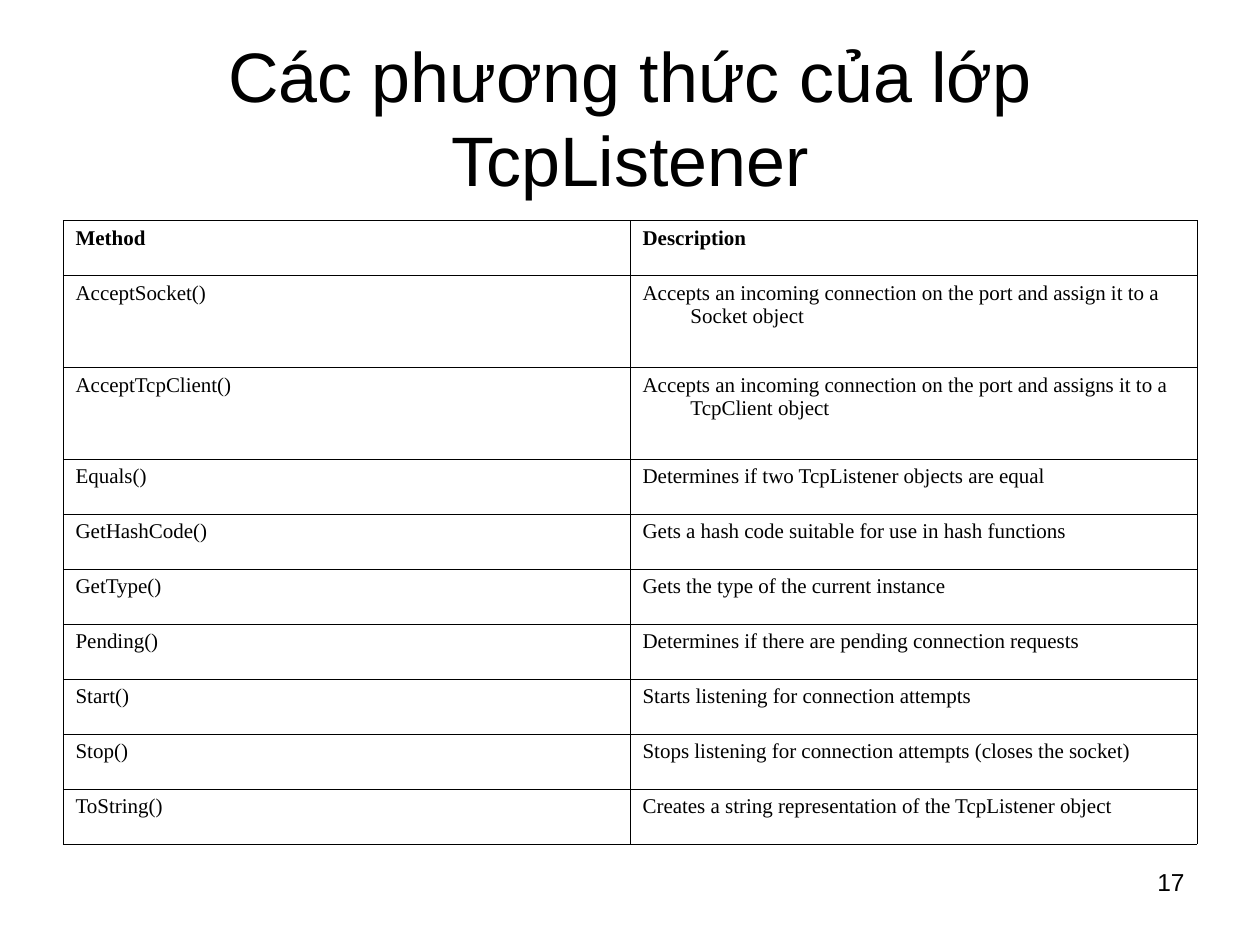
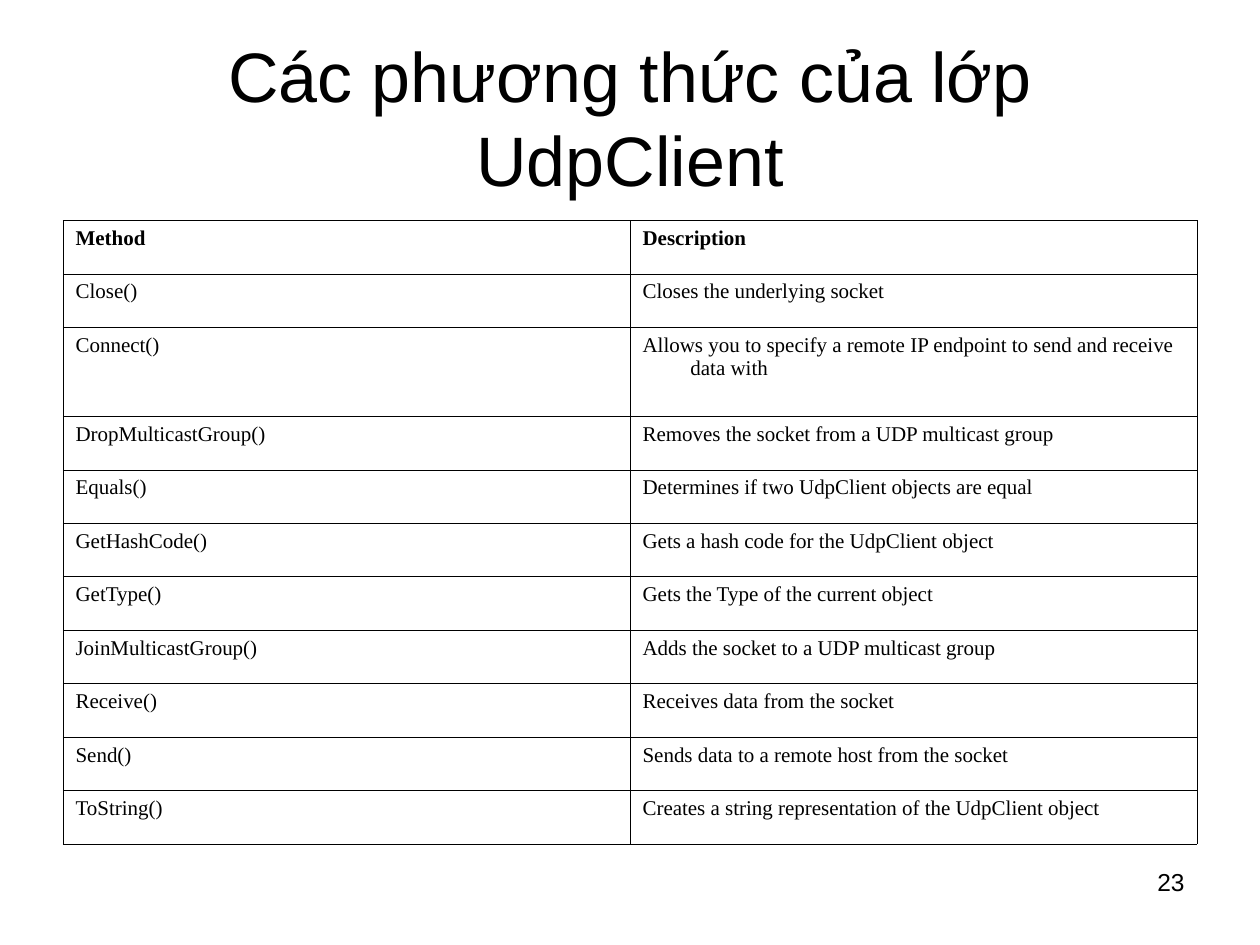
import dataclasses

import lxml.etree
import pptx
import pptx.dml.color
import pptx.enum.text
import pptx.oxml.ns
import pptx.slide
import pptx.table
import pptx.text.text
import pptx.util

# Shared style
COLOURS = {"ink": "000000", "paper": "FFFFFF"}
HEADING_FONT = "Arial"
TABLE_FONT = "Times New Roman"
BORDER_WIDTH = pptx.util.Pt(0.34)
HANGING_INDENT = pptx.util.Inches(0.38)
SLIDE_WIDTH = pptx.util.Inches(10)
SLIDE_HEIGHT = pptx.util.Inches(7.5)

# Row heights are shared out in units: a wrapped description needs more
SINGLE_ROW, WRAPPED_ROW = 3, 5
LONGEST_LINE = 60
TITLE_ONLY = 5


@dataclasses.dataclass(frozen=True)
class Area:
    """A rectangle given in inches on the slide."""
    left: float
    top: float
    width: float
    height: float

    def lengths(self) -> list[int]:
        return [pptx.util.Inches(value) for value in dataclasses.astuple(self)]


@dataclasses.dataclass(frozen=True)
class MethodPage:
    class_name: str
    number: int
    methods: list[tuple[str, str]]


TITLE_AREA = Area(0.5, 0.3, 9, 1.25)
TABLE_AREA = Area(0.5, 1.75, 9, 4.95)
NUMBER_AREA = Area(7.17, 6.83, 2.33, 0.52)
HEADER = ("Method", "Description")

PAGES = [
    MethodPage("TcpListener", 17, [
        ("AcceptSocket()", "Accepts an incoming connection on the port and assign it to a Socket object"),
        ("AcceptTcpClient()", "Accepts an incoming connection on the port and assigns it to a TcpClient object"),
        ("Equals()", "Determines if two TcpListener objects are equal"),
        ("GetHashCode()", "Gets a hash code suitable for use in hash functions"),
        ("GetType()", "Gets the type of the current instance"),
        ("Pending()", "Determines if there are pending connection requests"),
        ("Start()", "Starts listening for connection attempts"),
        ("Stop()", "Stops listening for connection attempts (closes the socket)"),
        ("ToString()", "Creates a string representation of the TcpListener object"),
    ]),
    MethodPage("UdpClient", 23, [
        ("Close()", "Closes the underlying socket"),
        ("Connect()", "Allows you to specify a remote IP endpoint to send and receive data with"),
        ("DropMulticastGroup()", "Removes the socket from a UDP multicast group"),
        ("Equals()", "Determines if two UdpClient objects are equal"),
        ("GetHashCode()", "Gets a hash code for the UdpClient object"),
        ("GetType()", "Gets the Type of the current object"),
        ("JoinMulticastGroup()", "Adds the socket to a UDP multicast group"),
        ("Receive()", "Receives data from the socket"),
        ("Send()", "Sends data to a remote host from the socket"),
        ("ToString()", "Creates a string representation of the UdpClient object"),
    ]),
]


def write_text(frame: pptx.text.text.TextFrame, text: str, font_name: str, size: float,
               align: pptx.enum.text.PP_ALIGN, bold: bool = False) -> None:
    frame.text = text
    frame.word_wrap = True
    para = frame.paragraphs[0]
    para.alignment = align
    font = para.runs[0].font
    font.name = font_name
    font.size = pptx.util.Pt(size)
    font.bold = bold
    font.color.rgb = pptx.dml.color.RGBColor.from_string(COLOURS["ink"])


def add_title(page: pptx.slide.Slide, text: str) -> None:
    title = page.shapes.title
    title.left, title.top, title.width, title.height = TITLE_AREA.lengths()
    write_text(title.text_frame, text, HEADING_FONT, 40, pptx.enum.text.PP_ALIGN.CENTER)
    title.text_frame.auto_size = pptx.enum.text.MSO_AUTO_SIZE.NONE
    title.text_frame.vertical_anchor = pptx.enum.text.MSO_ANCHOR.MIDDLE


def add_page_number(page: pptx.slide.Slide, number: int) -> None:
    box = page.shapes.add_textbox(*NUMBER_AREA.lengths())
    write_text(box.text_frame, str(number), HEADING_FONT, 14, pptx.enum.text.PP_ALIGN.RIGHT)


def draw_borders(cell: pptx.table._Cell) -> None:
    properties = cell._tc.get_or_add_tcPr()
    qualified = pptx.oxml.ns.qn
    for side in ("a:lnL", "a:lnR", "a:lnT", "a:lnB"):
        line = lxml.etree.SubElement(properties, qualified(side), w=str(BORDER_WIDTH))
        fill = lxml.etree.SubElement(line, qualified("a:solidFill"))
        lxml.etree.SubElement(fill, qualified("a:srgbClr"), val=COLOURS["ink"])


def fill_cell(cell: pptx.table._Cell, text: str, bold: bool) -> None:
    write_text(cell.text_frame, text, TABLE_FONT, 12, pptx.enum.text.PP_ALIGN.LEFT, bold)
    indents = cell.text_frame.paragraphs[0]._p.get_or_add_pPr()
    indents.set("marL", str(HANGING_INDENT))
    indents.set("indent", str(-HANGING_INDENT))
    draw_borders(cell)
    cell.fill.background()


def add_method_table(page: pptx.slide.Slide, methods: list[tuple[str, str]]) -> None:
    rows = [HEADER, *methods]
    table = page.shapes.add_table(len(rows), len(HEADER), *TABLE_AREA.lengths()).table
    table.first_row = table.horz_banding = False
    units = [WRAPPED_ROW if len(description) > LONGEST_LINE else SINGLE_ROW
             for _, description in rows]
    unit_height = TABLE_AREA.height / sum(units)
    for row_index, row in enumerate(rows):
        table.rows[row_index].height = pptx.util.Inches(units[row_index] * unit_height)
        for column_index, text in enumerate(row):
            fill_cell(table.cell(row_index, column_index), text, bold=row_index == 0)


def main() -> None:
    deck = pptx.Presentation()
    deck.slide_width, deck.slide_height = SLIDE_WIDTH, SLIDE_HEIGHT
    background = deck.slide_master.background.fill
    background.solid()
    background.fore_color.rgb = pptx.dml.color.RGBColor.from_string(COLOURS["paper"])
    for content in PAGES:
        page = deck.slides.add_slide(deck.slide_layouts[TITLE_ONLY])
        add_title(page, f"Các phương thức của lớp {content.class_name}")
        add_method_table(page, content.methods)
        add_page_number(page, content.number)
    deck.save("out.pptx")


if __name__ == "__main__":
    main()
